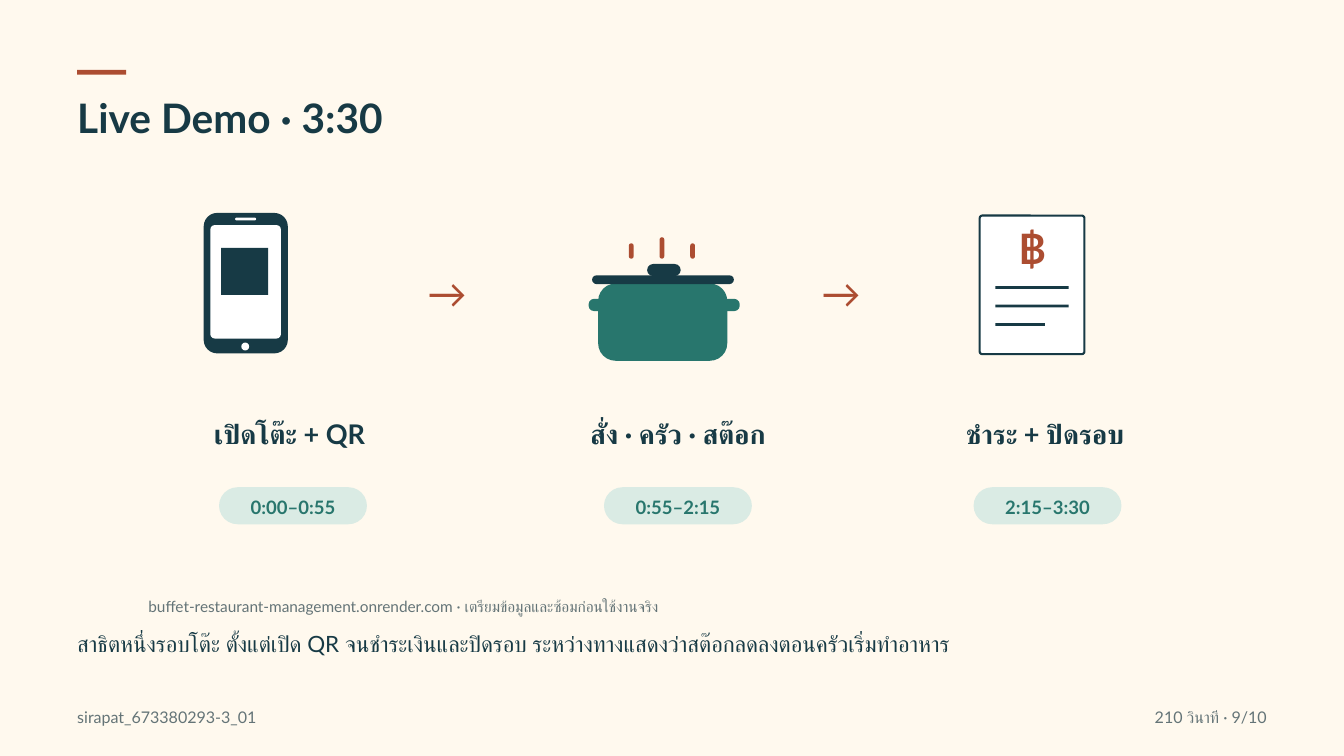
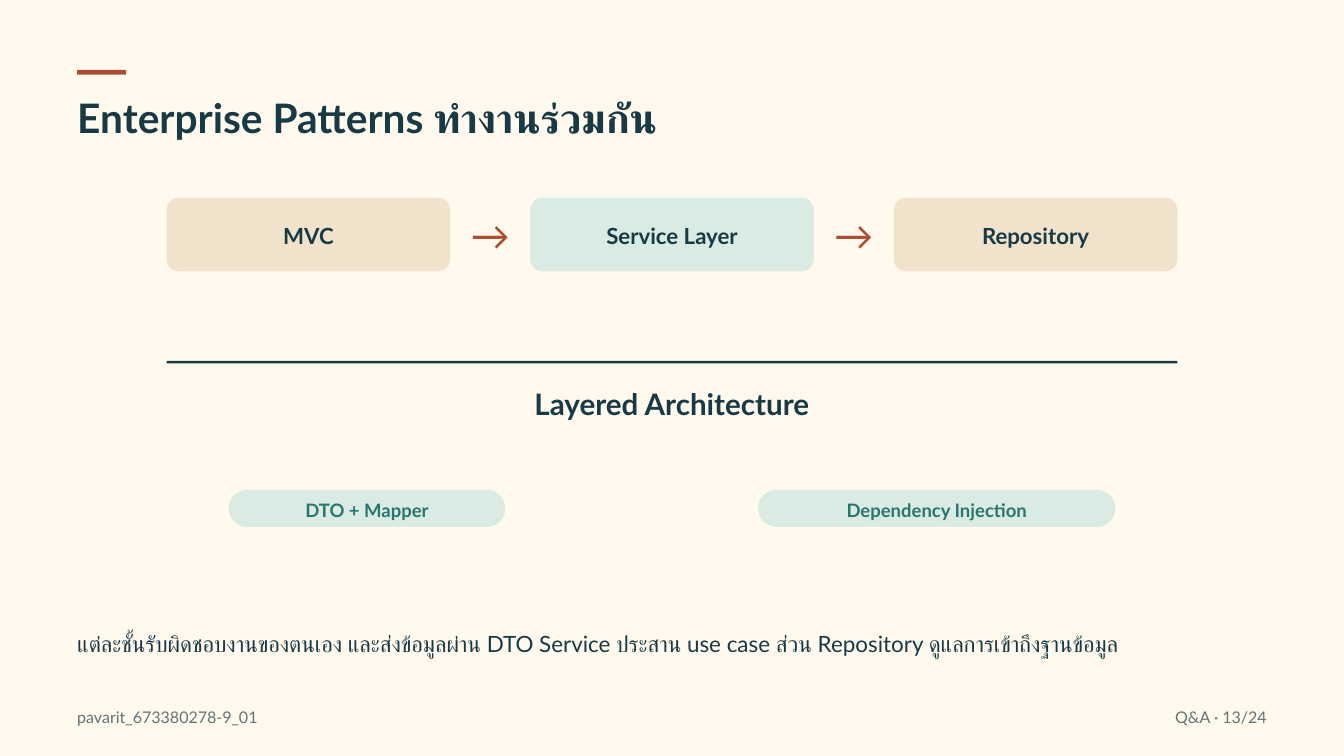
from pptx import Presentation
from pptx.dml.color import RGBColor
from pptx.enum import shapes, text
from pptx.oxml.ns import qn
from pptx.util import Cm, Pt

FONT = "Lato"
LINE_FACTOR = 1.34  # line spacing relative to text size
CREAM, INK, RUST, TEAL = "FFF9EE", "173A45", "AC4D31", "28766D"
MINT, SAND, GREY, WHITE = "DAEBE4", "F1E3CB", "647477", "FFFFFF"
FULL = 99  # corner radius that makes fully round ends
LEFT, CENTER, RIGHT = (text.PP_ALIGN.LEFT, text.PP_ALIGN.CENTER,
                       text.PP_ALIGN.RIGHT)

STYLES = {
    "title": {"size": 43.5, "color": INK, "bold": True},
    "heading": {"size": 31.7, "color": INK, "bold": True, "align": CENTER},
    "step": {"size": 29, "color": INK, "bold": True, "align": CENTER},
    "card": {"size": 23.8, "color": INK, "bold": True, "align": CENTER},
    "pill": {"size": 19.8, "color": TEAL, "bold": True, "align": CENTER},
    "arrow": {"size": 42.2, "color": RUST, "align": CENTER},
    "baht": {"size": 44.9, "color": RUST, "bold": True, "align": CENTER},
    "body": {"size": 24, "color": INK},
    "note": {"size": 16.5, "color": GREY},
    "footer": {"size": 17.2, "color": GREY},
    "page": {"size": 17.2, "color": GREY, "align": RIGHT},
}

# All lengths are in centimetres.
MARGIN = 2.92
PILL_HEIGHT = 1.4
ARROW_HEIGHT = 2.16

DEMO = {
    "title": "Live Demo · 3:30",
    "body": "สาธิตหนึ่งรอบโต๊ะ ตั้งแต่เปิด QR จนชำระเงินและปิดรอบ "
            "ระหว่างทางแสดงว่าสต๊อกลดลงตอนครัวเริ่มทำอาหาร",
    "footer": "sirapat_673380293-3_01",
    "page": "210 วินาที · 9/10",
}
# label, its left and width, time span, left of its pill
DEMO_STEPS = [
    ("เปิดโต๊ะ + QR", 5.94, 10.01, "0:00–0:55", 8.28),
    ("สั่ง · ครัว · สต๊อก", 20.27, 10.72, "0:55–2:15", 22.83),
    ("ชำระ + ปิดรอบ", 34.14, 10.72, "2:15–3:30", 36.8),
]
DEMO_ARROWS = [14.22, 29.11]
DEMO_NOTE = ("buffet-restaurant-management.onrender.com · "
             "เตรียมข้อมูลและซ้อมก่อนใช้งานจริง")

PATTERNS = {
    "title": "Enterprise Patterns ทำงานร่วมกัน",
    "body": "แต่ละชั้นรับผิดชอบงานของตนเอง และส่งข้อมูลผ่าน DTO Service "
            "ประสาน use case ส่วน Repository ดูแลการเข้าถึงฐานข้อมูล",
    "footer": "pavarit_673380278-9_01",
    "page": "Q&A · 13/24",
}
PATTERN_CARDS = [("MVC", SAND), ("Service Layer", MINT), ("Repository", SAND)]
PATTERN_HEADING = "Layered Architecture"
PATTERN_PILLS = [("DTO + Mapper", 8.64, 10.46),
                 ("Dependency Injection", 28.65, 13.51)]

# left, top, width, height, fill, corner radius
PHONE = [
    (7.7, 8.05, 3.18, 5.31, INK, 0.51),
    (7.95, 8.51, 2.67, 4.29, WHITE, 0.17),
    (8.89, 8.23, 0.79, 0.1, WHITE, FULL),
    (9.12, 12.95, 0.3, 0.3, WHITE, FULL),
    (8.36, 9.37, 1.78, 1.78, INK, 0),
]
POT = [
    (22.61, 10.72, 4.88, 2.92, TEAL, 0.66),
    (22.25, 11.3, 0.71, 0.46, TEAL, 0.2),
    (27.25, 11.3, 0.71, 0.46, TEAL, 0.2),
    (22.38, 10.41, 5.36, 0.33, INK, FULL),
    (24.46, 9.98, 1.27, 0.46, INK, FULL),
]
STEAM_HEIGHTS = [0.58, 0.81, 0.58]
BILL_LINE_WIDTHS = [2.77, 2.77, 1.88]


def rgb(color):
    return RGBColor.from_string(color)


def write(shape, words, style):
    """Fill the shape with one paragraph in a named style."""
    values = STYLES[style]
    frame = shape.text_frame
    frame.word_wrap = True
    for side in ("left", "top", "right", "bottom"):
        setattr(frame, f"margin_{side}", 0)
    paragraph = frame.paragraphs[0]
    paragraph.alignment = values.get("align", LEFT)
    paragraph.line_spacing = Pt(round(values["size"] * LINE_FACTOR, 1))
    run = paragraph.add_run()
    run.text = words
    font = run.font
    for name, value in {"size": Pt(values["size"]), "name": FONT,
                        "bold": values.get("bold", False)}.items():
        setattr(font, name, value)
    font.color.rgb = rgb(values["color"])
    properties = run._r.get_or_add_rPr()
    for tag in ("a:ea", "a:cs"):
        element = properties.makeelement(qn(tag), {"typeface": FONT})
        properties.append(element)


def add_text(slide, words, style, left, top, width, height):
    box = slide.shapes.add_textbox(Cm(left), Cm(top), Cm(width), Cm(height))
    write(box, words, style)


def add_block(slide, left, top, width, height, fill, radius=0):
    """Add a plain or rounded rectangle without outline."""
    kinds = shapes.MSO_SHAPE
    kind = kinds.ROUNDED_RECTANGLE if radius else kinds.RECTANGLE
    shape = slide.shapes.add_shape(kind, Cm(left), Cm(top), Cm(width),
                                   Cm(height))
    if radius:
        shape.adjustments[0] = min(0.5, radius / min(width, height))
    shape.shadow.inherit = False
    shape.fill.solid()
    shape.fill.fore_color.rgb = rgb(fill)
    shape.line.fill.background()
    return shape


def add_label_block(slide, words, style, *block):
    """Add a block with its label in the middle."""
    shape = add_block(slide, *block)
    write(shape, words, style)
    shape.text_frame.vertical_anchor = text.MSO_ANCHOR.MIDDLE


def add_slide(presentation, content):
    """Add a slide with background, accent bar, title, body and footers."""
    slide = presentation.slides.add_slide(presentation.slide_layouts[6])
    slide.background.fill.solid()
    slide.background.fill.fore_color.rgb = rgb(CREAM)
    add_block(slide, MARGIN, 2.64, 1.85, 0.18, RUST)
    add_text(slide, content["title"], "title", MARGIN, 3.28, 45.24, 2.21)
    add_text(slide, content["body"], "body", MARGIN, 23.7, 44.98, 2.36)
    add_text(slide, content["footer"], "footer", MARGIN, 26.67, 33.07, 0.86)
    add_text(slide, content["page"], "page", 38.89, 26.67, 8.99, 0.86)
    return slide


def draw_bill(slide):
    sheet = add_block(slide, 37.03, 8.15, 3.96, 5.24, WHITE, 0.1)
    sheet.line.color.rgb = rgb(INK)
    sheet.line.width = Pt(2.25)
    add_text(slide, "฿", "baht", 38.02, 8.2, 1.98, 2.31)
    for row, width in enumerate(BILL_LINE_WIDTHS):
        add_block(slide, 37.62, 10.82 + row * 0.7, width, 0.1, INK)


def build_demo(presentation):
    slide = add_slide(presentation, DEMO)
    for part in PHONE + POT:
        add_block(slide, *part)
    for column, height in enumerate(STEAM_HEIGHTS):
        add_block(slide, 23.77 + column * 1.16, 9.78 - height, 0.18, height,
                  RUST, FULL)
    draw_bill(slide)
    for left in DEMO_ARROWS:
        add_text(slide, "→", "arrow", left, 9.98, 5.36, ARROW_HEIGHT)
    for label, left, width, span, pill_left in DEMO_STEPS:
        add_text(slide, label, "step", left, 15.65, width, 1.45)
        add_label_block(slide, span, "pill", pill_left, 18.42, 5.59,
                        PILL_HEIGHT, MINT, FULL)
    add_text(slide, DEMO_NOTE, "note", 5.61, 22.5, 39.57, 0.86)


def build_patterns(presentation):
    slide = add_slide(presentation, PATTERNS)
    left, top, width, height, gap = 6.3, 7.47, 10.72, 2.79, 3.02
    for column, (label, fill) in enumerate(PATTERN_CARDS):
        card_left = left + column * (width + gap)
        add_label_block(slide, label, "card", card_left, top, width, height,
                        fill, 0.47)
        if column:
            add_text(slide, "→", "arrow", card_left - gap, 7.77, gap,
                     ARROW_HEIGHT)
    row_width = len(PATTERN_CARDS) * (width + gap) - gap
    add_block(slide, left, 13.64, row_width, 0.1, INK)
    add_text(slide, PATTERN_HEADING, "heading", 14.45, 14.43, 21.89, 1.63)
    for label, pill_left, pill_width in PATTERN_PILLS:
        add_label_block(slide, label, "pill", pill_left, 18.52, pill_width,
                        PILL_HEIGHT, MINT, FULL)


def main():
    presentation = Presentation()
    presentation.slide_width = Cm(50.8)
    presentation.slide_height = Cm(28.58)
    build_demo(presentation)
    build_patterns(presentation)
    presentation.save("out.pptx")


if __name__ == "__main__":
    main()
